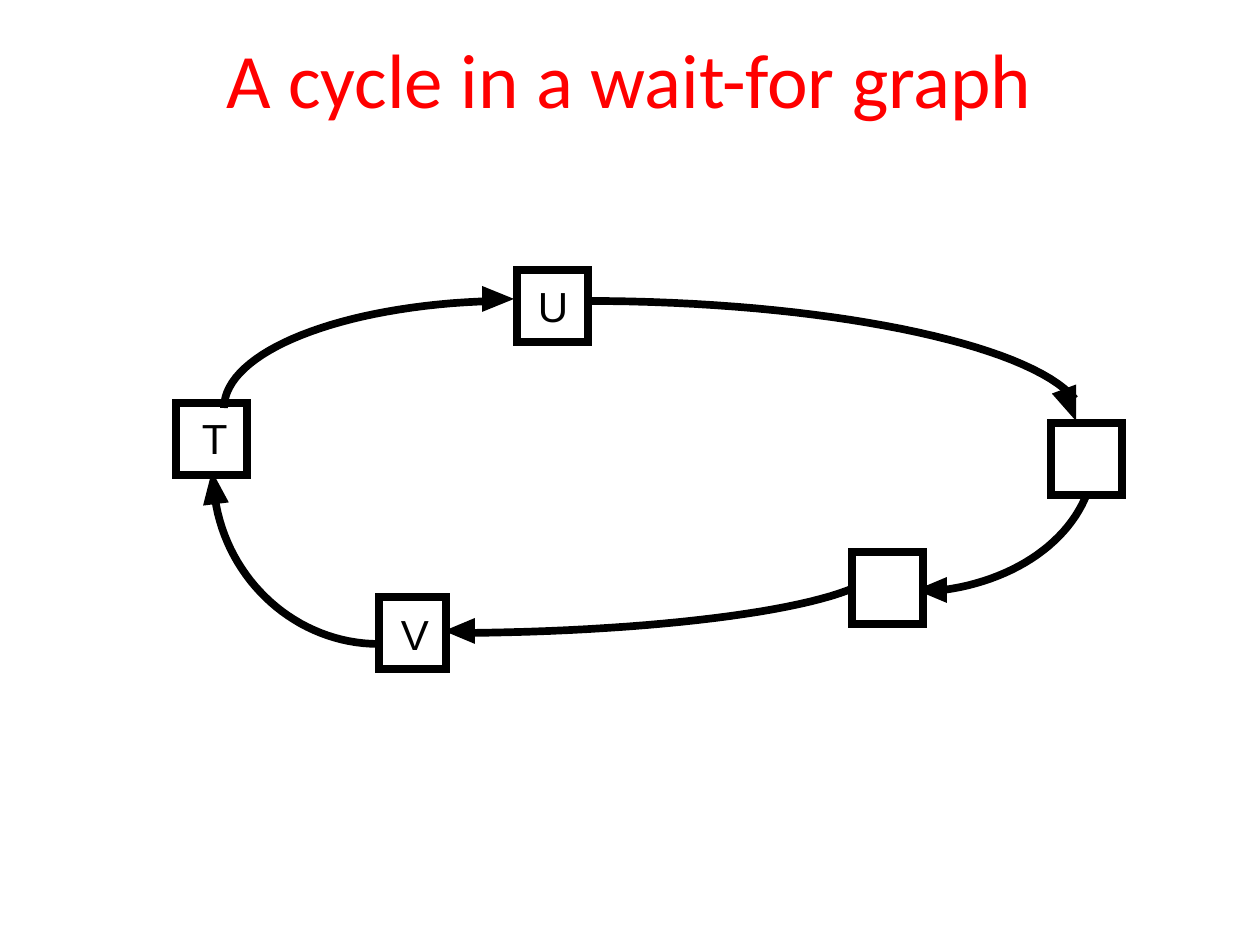
from math import hypot

from lxml import etree
from pptx import Presentation
from pptx.dml.color import RGBColor
from pptx.enum.shapes import MSO_SHAPE
from pptx.enum.text import MSO_ANCHOR, PP_ALIGN
from pptx.oxml.ns import qn
from pptx.util import Emu, Pt

RECT = MSO_SHAPE.RECTANGLE
MIDDLE = MSO_ANCHOR.MIDDLE
CENTER = PP_ALIGN.CENTER
BLACK, WHITE, RED = "000000", "FFFFFF", "FF0000"
LINE_PT = 4.38
NODE_H = 72
HEAD_HALF = 13
STEPS = 32

FRONT_NODES = [(341, 0, 71, "U", 21, 11), (203, 327, 67, "V", 22, 12), (0, 133, 71, "T", 26, 10)]
PLAIN_NODES = [(676, 282, 71, "", 0, 0), (875, 153, 71, "", 0, 0)]
EDGES = [
    ([(48, 138), (48, 82), (165, 35), (318, 31)], (338, 29), (306, 29)),
    ([(203, 374), (121, 374), (51, 311), (39, 228)], (36, 201), (40, 234)),
    ([(409, 31), (648, 31), (852, 73), (899, 129)], (900, 151), (888, 119)),
    ([(918, 186), (918, 255), (850, 312), (759, 321)], (740, 320), (771, 320)),
    ([(705, 294), (705, 331), (520, 361), (288, 363)], (268, 361), (299, 361)),
]


def px(n):
    """Turn pixels into EMU."""
    return Emu(round(n * 914400 / 126))


def rgb(value):
    """Turn a hex string into a colour."""
    return RGBColor.from_string(value)


def add_run(p, text, size, font, color):
    """Add one formatted run to a paragraph."""
    r = p.add_run()
    r.text = text
    r.font.size = Pt(size)
    r.font.name = font
    r.font.color.rgb = rgb(color)


def set_margins(tf):
    """Clear the insets of a text frame."""
    tf.margin_left = tf.margin_top = tf.margin_right = tf.margin_bottom = 0


def style(sp, fill=None, line=None):
    """Set fill and outline, and drop the shadow."""
    sp.shadow.inherit = False
    if fill:
        sp.fill.solid()
        sp.fill.fore_color.rgb = rgb(fill)
    else:
        sp.fill.background()
    if line:
        sp.line.width = Pt(LINE_PT)
        sp.line.color.rgb = rgb(line)
    else:
        sp.line.fill.background()


def add_node(shapes, x, y, w, label, dx, dy):
    """Draw a square node and its label."""
    sp = shapes.add_shape(RECT, px(x), px(y), px(w), px(NODE_H))
    style(sp, WHITE, BLACK)
    miter = etree.SubElement(sp.line._get_or_add_ln(), qn("a:miter"))
    miter.set("lim", "800000")
    if label:
        tf = shapes.add_textbox(px(x + dx), px(y + dy), px(28), px(50)).text_frame
        tf.word_wrap = False
        set_margins(tf)
        add_run(tf.paragraphs[0], label, 24, "Arial", BLACK)


def bezier(points, t):
    """Return the point of a cubic curve at t."""
    weights = ((1 - t) ** 3, 3 * t * (1 - t) ** 2, 3 * t * t * (1 - t), t ** 3)
    return tuple(sum(w * c for w, c in zip(weights, axis)) for axis in zip(*points))


def add_outline(shapes, points, close):
    """Draw an outline through the given points."""
    (x, y), *rest = [(px(a), px(b)) for a, b in points]
    builder = shapes.build_freeform(x, y)
    builder.add_line_segments(rest, close=close)
    return builder.convert_to_shape()


def add_edge(shapes, x, y, curve, tip, back):
    """Draw a curved edge with a solid arrowhead."""
    points = [bezier(curve, i / STEPS) for i in range(STEPS + 1)]
    line = add_outline(shapes, [(x + a, y + b) for a, b in points], False)
    style(line, line=BLACK)
    dx, dy = tip[0] - back[0], tip[1] - back[1]
    k = HEAD_HALF / hypot(dx, dy)
    corners = [(back[0] - s * k * dy, back[1] + s * k * dx) for s in (1, -1)]
    head = add_outline(shapes, [(x + a, y + b) for a, b in [tip, *corners]], True)
    style(head, fill=BLACK)


def add_title(s, x, y, w, h):
    """Fill the title placeholder."""
    sp = s.shapes.title
    sp.left, sp.top, sp.width, sp.height = px(x), px(y), px(w), px(h)
    tf = sp.text_frame
    tf.vertical_anchor = MIDDLE
    set_margins(tf)
    p = tf.paragraphs[0]
    p.alignment = CENTER
    add_run(p, "A cycle in a wait-for graph", 44, "Calibri", RED)


def add_graph(s, x, y):
    """Draw the wait-for graph from its top left corner."""
    shapes = s.shapes.add_group_shape().shapes
    for nx, ny, *node in FRONT_NODES:
        add_node(shapes, x + nx, y + ny, *node)
    for edge in EDGES:
        add_edge(shapes, x, y, *edge)
    for nx, ny, *node in PLAIN_NODES:
        add_node(shapes, x + nx, y + ny, *node)


def main():
    """Build and save the slide."""
    prs = Presentation()
    prs.slide_width, prs.slide_height = px(1260), px(945)
    s = prs.slides.add_slide(prs.slide_layouts[5])
    add_title(s, 0, 0, 1259, 156)
    add_graph(s, 176, 270)
    prs.save("out.pptx")


if __name__ == "__main__":
    main()
